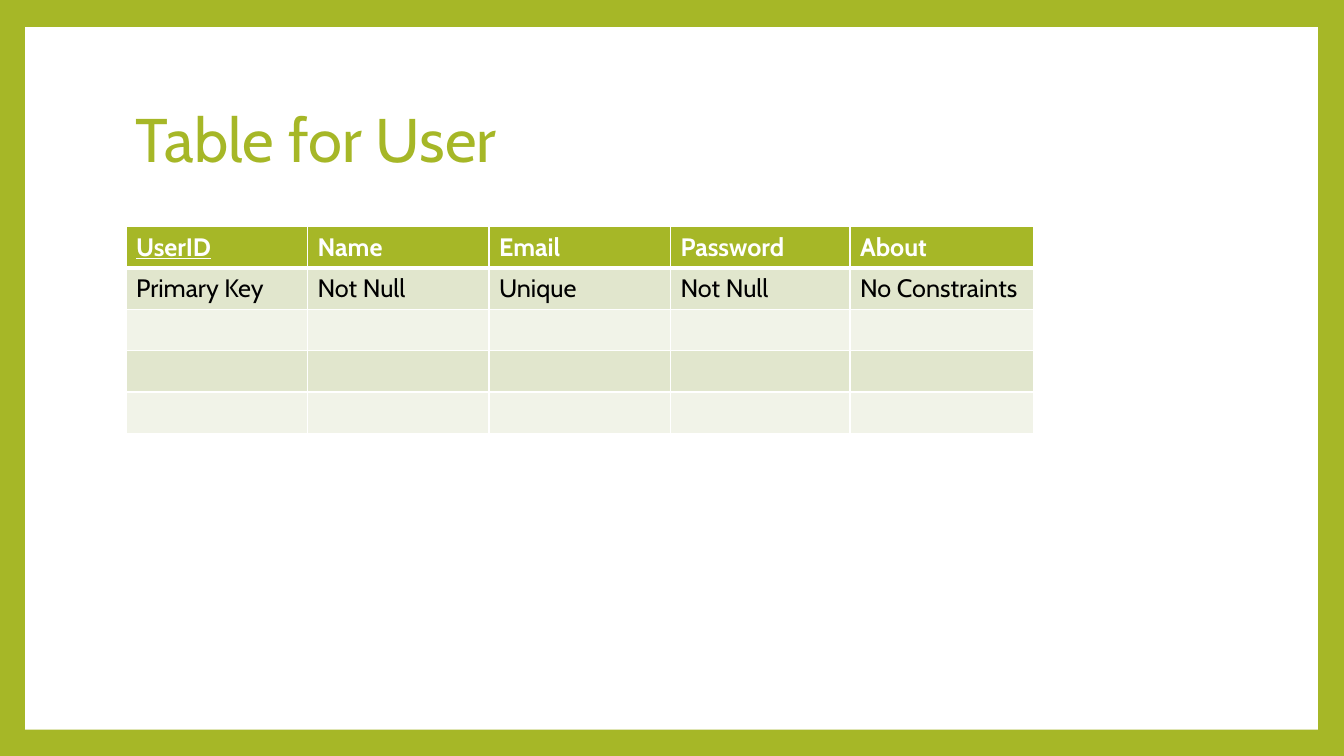
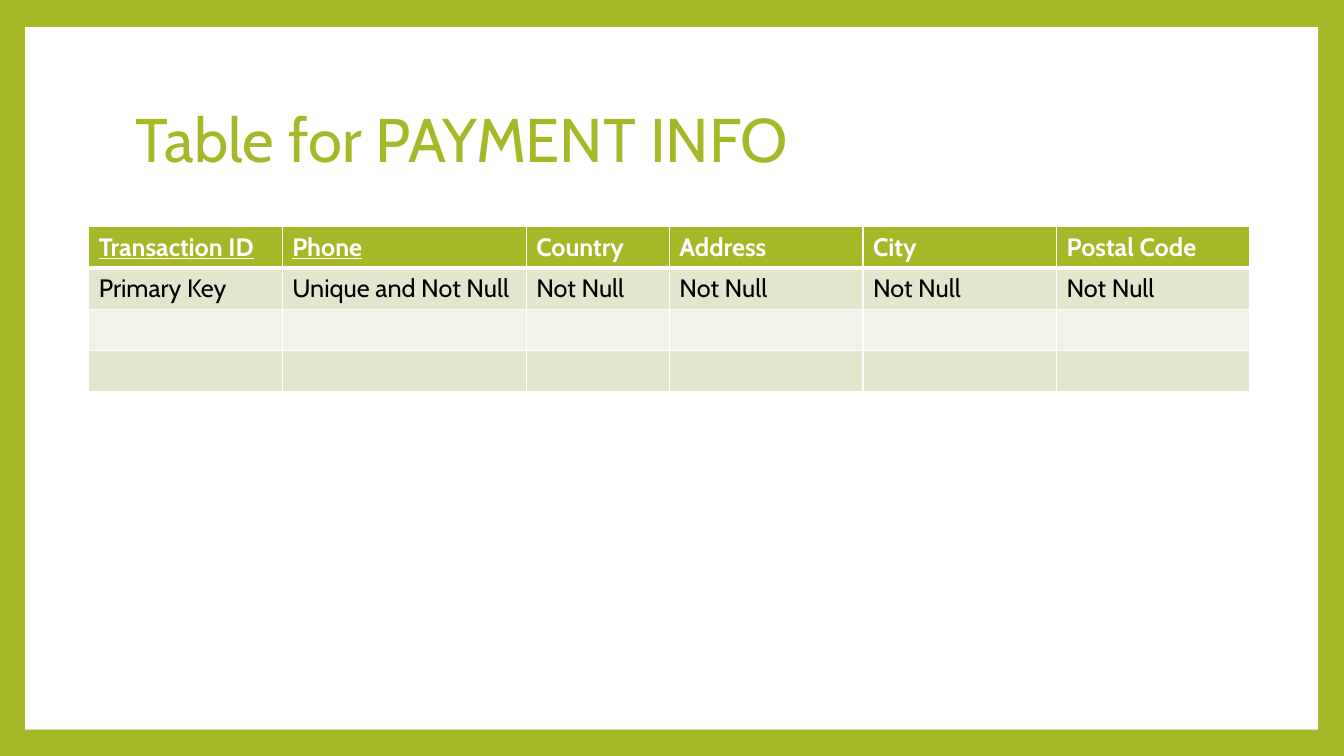
"""Build two slides that show database tables and their constraints."""
import dataclasses

import lxml.etree
import pptx
import pptx.dml.color
import pptx.enum.shapes
import pptx.enum.text
import pptx.oxml.ns
import pptx.util

Inches = pptx.util.Inches
Pt = pptx.util.Pt


@dataclasses.dataclass(frozen=True)
class Theme:
    """Colours, font and type sizes."""
    green: str = "A6B727"
    white: str = "FFFFFF"
    black: str = "000000"
    bands: tuple = ("E1E6CD", "F1F3E8")
    font: str = "Cabin"
    head: int = 44
    body: int = 18
    thin: int = 1
    thick: int = 3


class Deck:
    """Holds the style and the current slide."""

    def __init__(self, theme):
        """Start a wide deck."""
        self.theme = theme
        self.file = pptx.Presentation()
        self.file.slide_width = Inches(13.33)
        self.file.slide_height = Inches(7.5)

    def paint(self, fill, color):
        """Make a fill solid."""
        fill.solid()
        fill.fore_color.rgb = pptx.dml.color.RGBColor.from_string(color)

    def page(self, title):
        """Add a framed slide with its title."""
        self.slide = self.file.slides.add_slide(self.file.slide_layouts[6])
        self.paint(self.slide.background.fill, self.theme.green)
        self.panel(0.25, 0.27, 12.82, 6.97)
        self.title(title, 1.25, 0.67, 10.8, 1.48)

    def panel(self, left, top, width, height):
        """Add a plain white panel."""
        kind = pptx.enum.shapes.MSO_SHAPE.RECTANGLE
        panel = self.slide.shapes.add_shape(
            kind, Inches(left), Inches(top), Inches(width), Inches(height))
        panel.shadow.inherit = False
        self.paint(panel.fill, self.theme.white)
        panel.line.fill.background()

    def title(self, text, left, top, width, height):
        """Add the title text."""
        box = self.slide.shapes.add_textbox(
            Inches(left), Inches(top), Inches(width), Inches(height))
        frame = box.text_frame
        frame.word_wrap = True
        frame.vertical_anchor = pptx.enum.text.MSO_ANCHOR.MIDDLE
        para = frame.paragraphs[0]
        para.line_spacing = 0.9
        self.run(para, text, self.theme.head, self.theme.green)

    def run(self, para, text, size, color, bold=False, under=False):
        """Add one styled run."""
        run = para.add_run()
        run.text = text
        font = run.font
        font.name = self.theme.font
        font.size = Pt(size)
        font.bold = bold
        font.underline = under
        font.color.rgb = pptx.dml.color.RGBColor.from_string(color)

    def edges(self, cell, top, base):
        """Draw the white borders of a cell."""
        thin = self.theme.thin
        props = cell._tc.get_or_add_tcPr()
        sides = {"lnL": thin, "lnR": thin, "lnT": top, "lnB": base}
        for side, width in sides.items():
            line = lxml.etree.SubElement(
                props, pptx.oxml.ns.qn("a:" + side), w=str(Pt(width)))
            fill = lxml.etree.SubElement(line, pptx.oxml.ns.qn("a:solidFill"))
            lxml.etree.SubElement(
                fill, pptx.oxml.ns.qn("a:srgbClr"), val=self.theme.white)

    def table(self, left, widths, fields, keys, blanks):
        """Add a table of field names, constraints and blank rows."""
        look = self.theme
        top, step = 2.25, 0.41
        count = 2 + blanks
        grid = self.slide.shapes.add_table(
            count, len(widths), Inches(left), Inches(top),
            Inches(sum(widths)), Inches(step * count)).table
        grid.horz_banding = False
        for col, width in zip(grid.columns, widths):
            col.width = Inches(width)
        for index, row in enumerate(grid.rows):
            row.height = Inches(step)
            color = look.bands[(index - 1) % 2] if index else look.green
            for cell in row.cells:
                self.edges(cell, look.thick if index == 1 else look.thin,
                           look.thin if index else look.thick)
                self.paint(cell.fill, color)
        for spot, (name, rule) in enumerate(fields):
            para = grid.cell(0, spot).text_frame.paragraphs[0]
            self.run(para, name, look.body, look.white, True, name in keys)
            para = grid.cell(1, spot).text_frame.paragraphs[0]
            self.run(para, rule, look.body, look.black)


deck = Deck(Theme())

deck.page("Table for User")
deck.table(
    1.25, [1.8, 1.8, 1.8, 1.78, 1.82],
    [("UserID", "Primary Key"), ("Name", "Not Null"), ("Email", "Unique"),
     ("Password", "Not Null"), ("About", "No Constraints")],
    keys=["UserID"], blanks=3)

deck.page("Table for PAYMENT INFO")
deck.table(
    0.88, [1.92, 2.42, 1.42, 1.92, 1.92, 1.92],
    [("Transaction ID", "Primary Key"), ("Phone", "Unique and Not Null"),
     ("Country", "Not Null"), ("Address", "Not Null"), ("City", "Not Null"),
     ("Postal Code", "Not Null")],
    keys=["Transaction ID", "Phone"], blanks=2)

deck.file.save("out.pptx")
